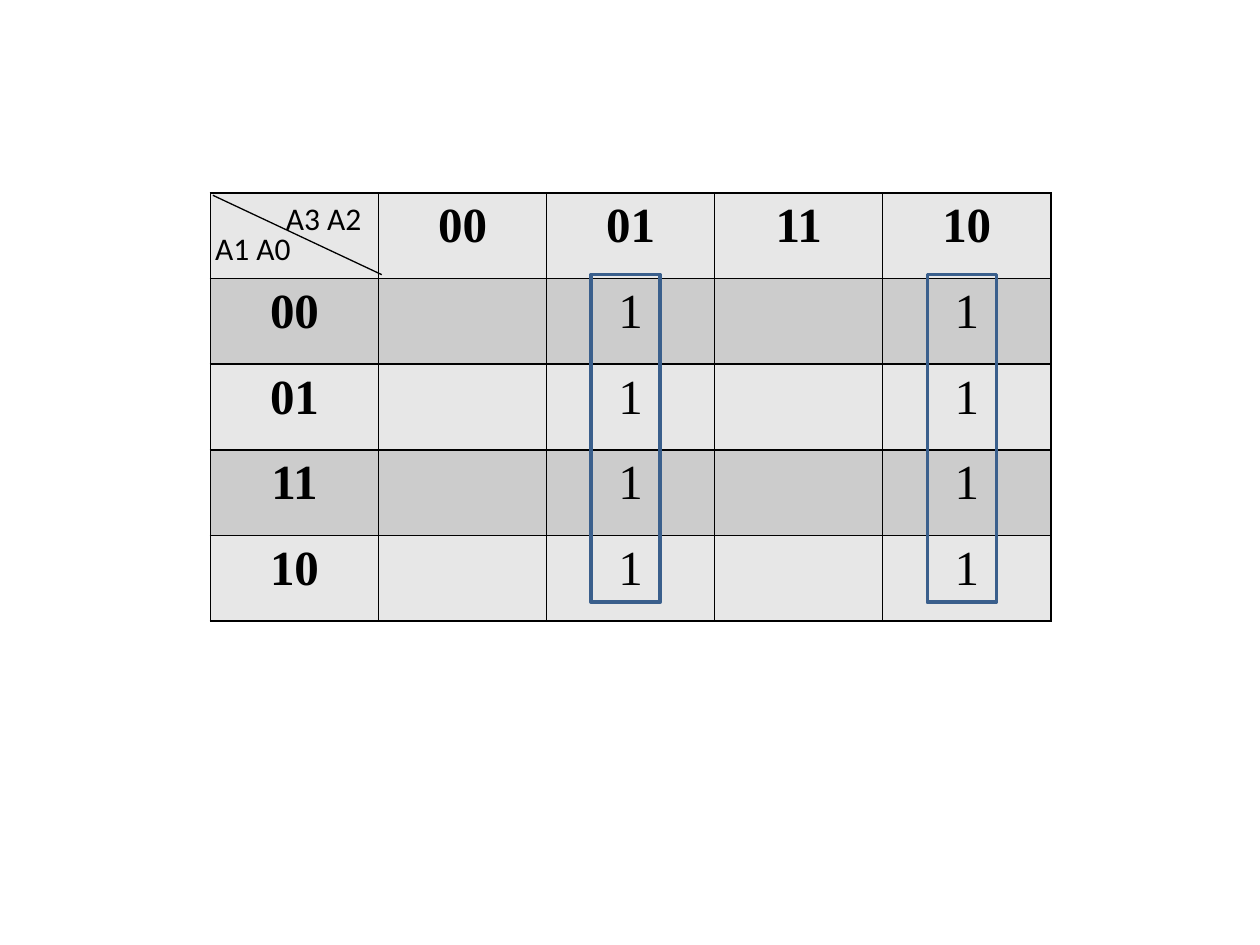
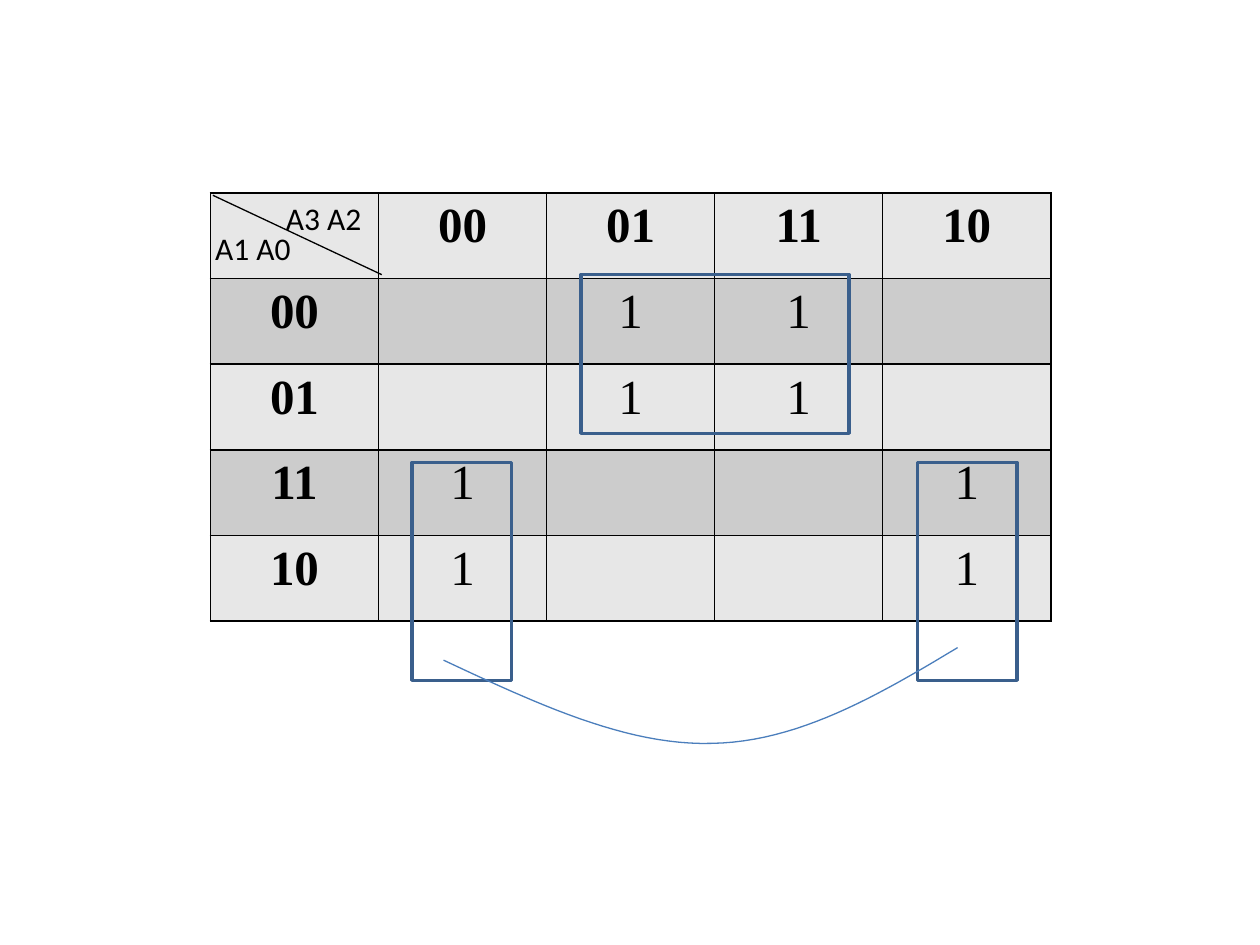
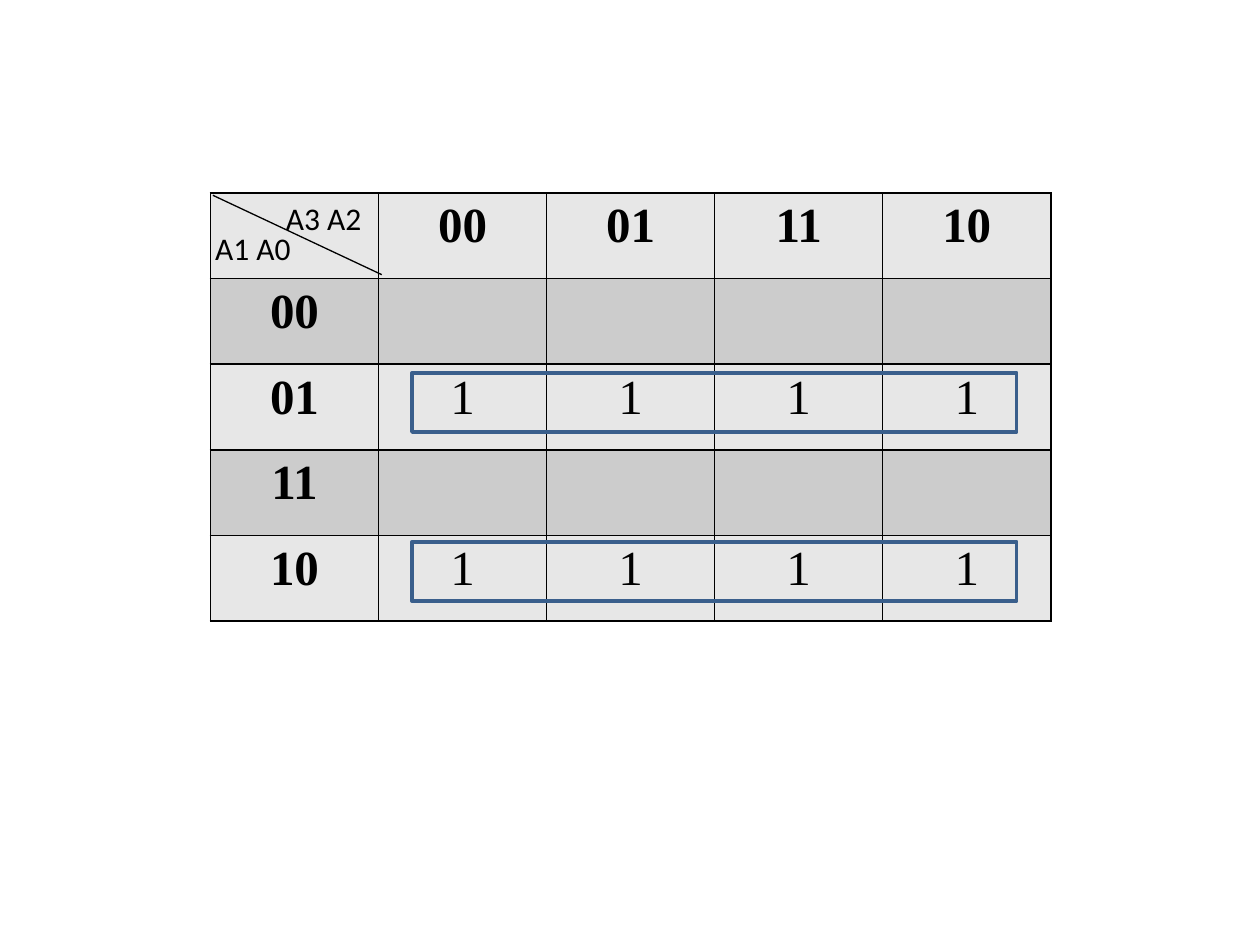
"""Build three Karnaugh maps with their groupings outlined."""
from dataclasses import dataclass

from lxml import etree
from pptx import Presentation
from pptx.dml.color import RGBColor
from pptx.enum.shapes import MSO_CONNECTOR, MSO_SHAPE
from pptx.enum.text import MSO_AUTO_SIZE, PP_ALIGN
from pptx.oxml.ns import qn
from pptx.util import Inches, Pt

RECT = MSO_SHAPE.RECTANGLE
STRAIGHT = MSO_CONNECTOR.STRAIGHT
FIT_SHAPE = MSO_AUTO_SIZE.SHAPE_TO_FIT_TEXT
LEFT, CENTER = PP_ALIGN.LEFT, PP_ALIGN.CENTER

BLACK, GROUP_BLUE, CURVE_BLUE = "000000", "3A5F8C", "4B7EBC"
BAND_FILLS = ("E7E7E7", "CCCCCC")
GRAY_CODES = ("00", "01", "11", "10")
MAP_LEFT, MAP_TOP, MAP_WIDTH, MAP_HEIGHT = 1.67, 1.53, 6.67, 3.4
SIDE = len(GRAY_CODES) + 1
CURVE_STEPS = 24

Point = tuple[float, float]
Bezier = tuple[Point, Point, Point, Point]


@dataclass(frozen=True)
class Group:
    """Outline around adjacent ones, in inches."""
    left: float
    top: float
    width: float
    height: float


@dataclass(frozen=True)
class KMap:
    """One map: its rows of values, groups and wrap-around link."""
    rows: tuple[str, ...]
    groups: tuple[Group, ...]
    link: tuple[Bezier, ...] = ()


MAPS = (
    KMap((".1.1",) * 4,
         tuple(Group(x, 2.18, 0.55, 2.6) for x in (4.69, 7.36))),
    KMap((".11.", ".11.", "1..1", "1..1"),
         (Group(4.61, 2.18, 2.13, 1.26),
          *(Group(x, 3.67, 0.79, 1.73) for x in (3.27, 7.28))),
         (((3.52, 5.24), (4.25, 5.58), (4.97, 5.92), (5.65, 5.9)),
          ((5.65, 5.9), (6.33, 5.89), (6.97, 5.52), (7.6, 5.14)))),
    KMap(("....", "1111", "....", "1111"),
         tuple(Group(3.27, y, 4.8, 0.47) for y in (2.96, 4.3))),
)


def rgb(color: str) -> RGBColor:
    """Return the colour for a hex string."""
    return RGBColor.from_string(color)


def write(tf, text: str, *, size: float = 28, font: str = "Times New Roman",
          bold: bool = False, align=CENTER, color: str = BLACK) -> None:
    """Write formatted text into the first paragraph of a text frame."""
    p = tf.paragraphs[0]
    p.alignment = align
    r = p.add_run()
    r.text = text
    r.font.size, r.font.name, r.font.bold = Pt(size), font, bold
    r.font.color.rgb = rgb(color)


def set_line(sp, color: str, width: float) -> None:
    """Set the line colour and width of a shape or connector."""
    sp.line.color.rgb = rgb(color)
    sp.line.width = Pt(width)


def set_borders(cell, color: str = BLACK, width: float = 1) -> None:
    """Draw a solid border on all four sides of a cell."""
    tc_pr = cell._tc.get_or_add_tcPr()
    for side in "LRTB":
        ln = etree.SubElement(tc_pr, qn(f"a:ln{side}"), w=str(Pt(width)))
        fill = etree.SubElement(ln, qn("a:solidFill"))
        etree.SubElement(fill, qn("a:srgbClr"), val=color)


def add_grid(slide, rows: tuple[str, ...]) -> None:
    """Add the table with Gray-code headings and the ones."""
    table = slide.shapes.add_table(
        SIDE, SIDE, Inches(MAP_LEFT), Inches(MAP_TOP),
        Inches(MAP_WIDTH), Inches(MAP_HEIGHT)).table
    table.first_row = table.horz_banding = False
    grid = [("", *GRAY_CODES)]
    grid += [(code, *row.replace(".", " ")) for code, row in zip(GRAY_CODES, rows)]
    for i, values in enumerate(grid):
        for j, value in enumerate(values):
            cell = table.cell(i, j)
            set_borders(cell)
            cell.fill.solid()
            cell.fill.fore_color.rgb = rgb(BAND_FILLS[i % 2])
            if value.strip():
                write(cell.text_frame, value, bold=i == 0 or j == 0)


def add_corner(slide) -> None:
    """Add the diagonal and the variable names in the corner cell."""
    sp = slide.shapes.add_connector(
        STRAIGHT, Inches(1.69), Inches(1.55), Inches(3.03), Inches(2.18))
    set_line(sp, BLACK, 0.75)
    etree.SubElement(sp._element.spPr, qn("a:effectLst"))
    for text, left, top in (("A3 A2", 2.17, 1.53), ("A1 A0", 1.61, 1.77)):
        tf = slide.shapes.add_textbox(
            Inches(left), Inches(top), Inches(0.81), Inches(0.4)).text_frame
        tf.word_wrap = False
        tf.auto_size = FIT_SHAPE
        write(tf, text, size=18, font="Calibri", align=LEFT)


def add_group(slide, group: Group) -> None:
    """Outline a group of ones."""
    sp = slide.shapes.add_shape(
        RECT, Inches(group.left), Inches(group.top),
        Inches(group.width), Inches(group.height))
    sp.shadow.inherit = False
    sp.fill.background()
    set_line(sp, GROUP_BLUE, 2)


def bezier_point(curve: Bezier, t: float) -> Point:
    """Return the point of a cubic curve at parameter t."""
    weights = ((1 - t) ** 3, 3 * t * (1 - t) ** 2, 3 * t ** 2 * (1 - t), t ** 3)
    x, y = (sum(w * v for w, v in zip(weights, axis)) for axis in zip(*curve))
    return Inches(x), Inches(y)


def add_link(slide, curves: tuple[Bezier, ...]) -> None:
    """Draw the curve that joins two halves of a group."""
    points = [bezier_point(curve, step / CURVE_STEPS)
              for curve in curves for step in range(1, CURVE_STEPS + 1)]
    builder = slide.shapes.build_freeform(*bezier_point(curves[0], 0))
    builder.add_line_segments(points, close=False)
    sp = builder.convert_to_shape()
    sp.shadow.inherit = False
    sp.fill.background()
    set_line(sp, CURVE_BLUE, 0.75)


def main() -> None:
    """Build and save the presentation."""
    prs = Presentation()
    prs.slide_width, prs.slide_height = Inches(10), Inches(7.5)
    for kmap in MAPS:
        slide = prs.slides.add_slide(prs.slide_layouts[6])
        add_grid(slide, kmap.rows)
        add_corner(slide)
        for group in kmap.groups:
            add_group(slide, group)
        if kmap.link:
            add_link(slide, kmap.link)
    prs.save("out.pptx")


main()
